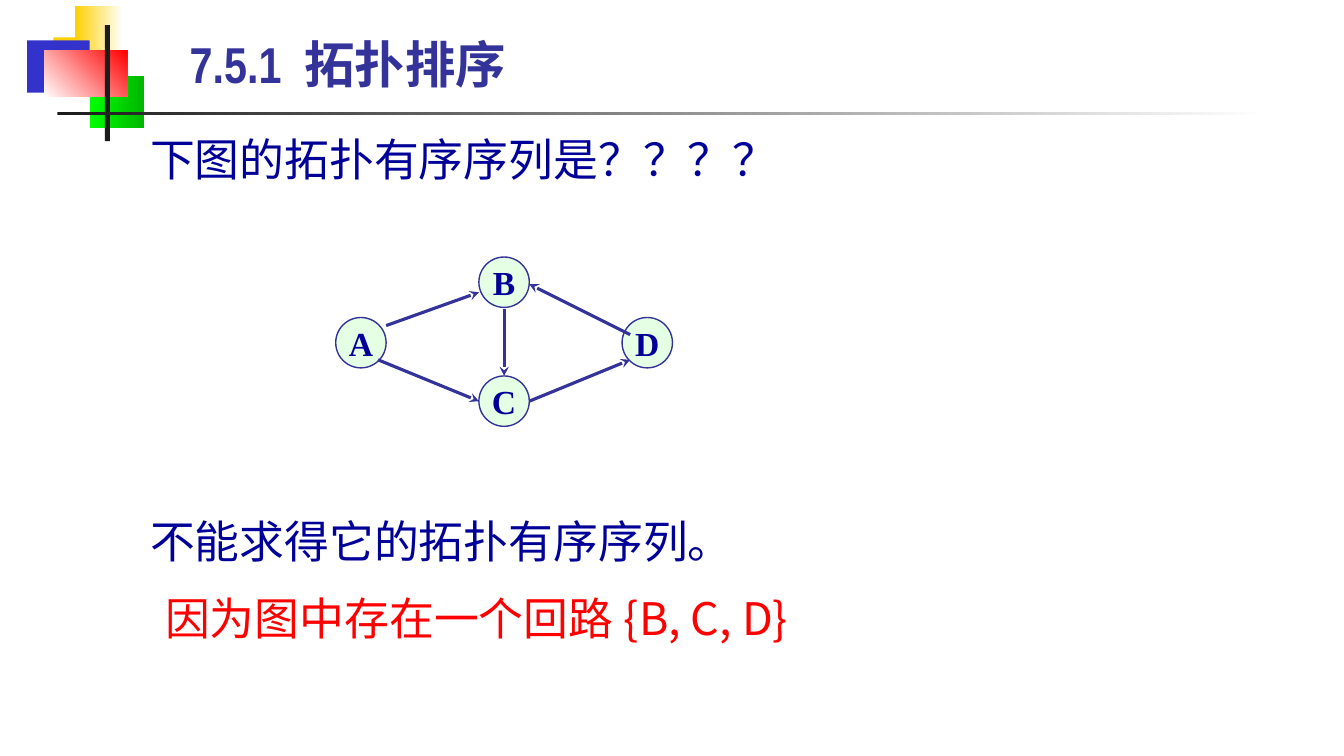
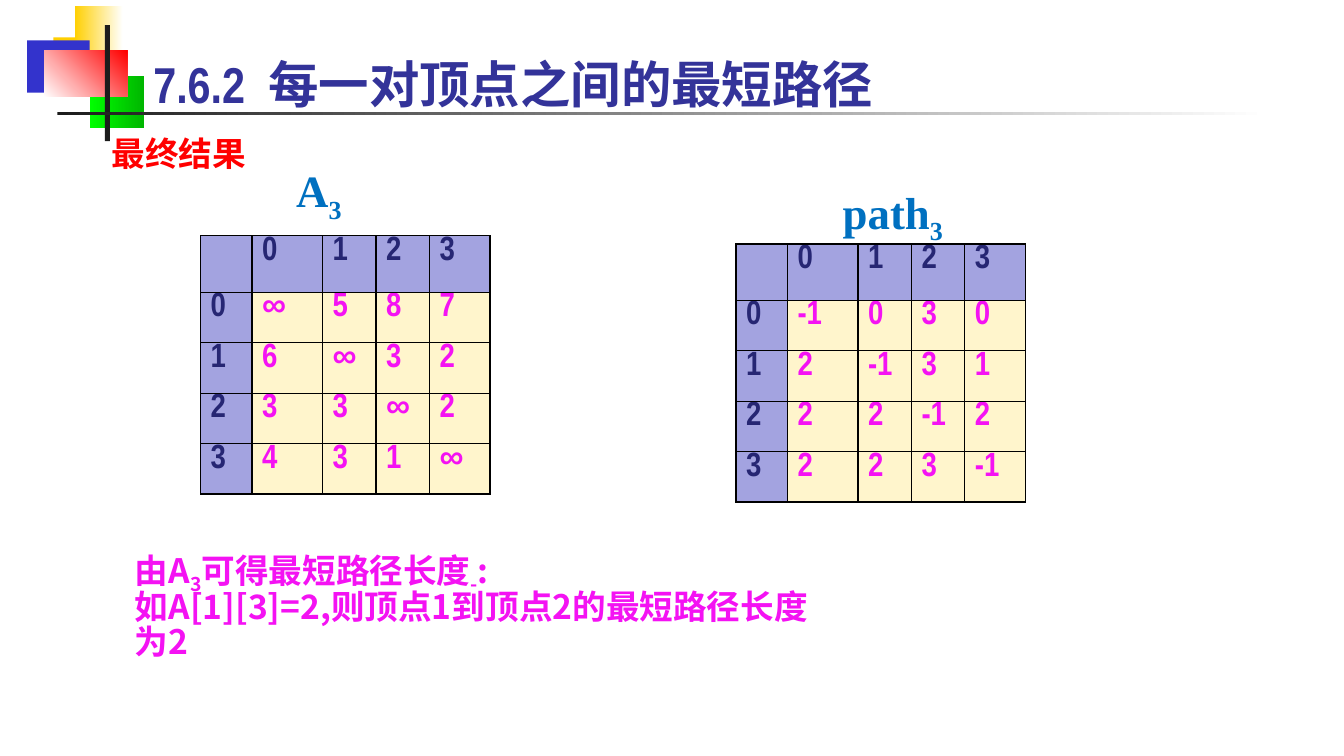
import pptx
import pptx.dml.color
import pptx.enum.shapes
import pptx.enum.text
import pptx.oxml.ns
import pptx.util
from lxml import etree

Inches = pptx.util.Inches
qn = pptx.oxml.ns.qn
SHAPES = pptx.enum.shapes.MSO_SHAPE
ANCHOR = pptx.enum.text.MSO_ANCHOR

COLOURS = {
    "white": "FFFFFF",
    "black": "000000",
    "ink": "1C1C1C",
    "yellow": "FFCF01",
    "blue": "3333CC",
    "lime": "00FF00",
    "green": "00B600",
    "red": "FF0000",
    "indigo": "333399",
    "navy": "000099",
    "mint": "CCFFCC",
    "azure": "0070C0",
    "magenta": "F412F3",
    "header": "A3A3E0",
    "header_text": "262673",
    "cream": "FFF5CC",
}
NARROW = "Arial Narrow"
HAN = "Noto Sans CJK SC"
SERIF = "Times New Roman"

DECORATION = [
    ((0.53, 0.37, 0.64, 0.52), ["yellow"], 0),
    ((0.74, 0.06, 0.48, 0.52), ["yellow", "white"], 0),
    ((0.27, 0.4, 0.62, 0.52), ["blue"], 0),
    ((0.89, 0.75, 0.54, 0.52), ["lime", "green"], 0),
    ((0.44, 0.5, 0.82, 0.46), ["white", "red"], 45),
    ((1.04, 0.25, 0.05, 1.15), ["ink"], 0),
    ((0.57, 1.11, 12, 0.03), ["ink", "white"], 0),
]
NODE_SIZE = 0.5
NODES = {"A": (3.58, 3.4), "B": (5, 2.8), "C": (5, 3.98), "D": (6.42, 3.4)}
EDGES = [
    ((3.83, 3.23), (4.75, 2.9)),
    ((3.75, 3.57), (4.75, 3.98)),
    ((5.25, 3.98), (6.25, 3.57)),
    ((6.25, 3.32), (5.25, 2.82)),
    ((5, 3.07), (5, 3.73)),
]
COLUMN_WIDTHS = [0.51, 0.7, 0.53, 0.53, 0.6]
ROW_HEIGHTS = [0.56, 0.5, 0.5, 0.5, 0.5]
LENGTHS = [
    ["∞", "5", "8", "7"],
    ["6", "∞", "3", "2"],
    ["3", "3", "∞", "2"],
    ["4", "3", "1", "∞"],
]
PATHS = [
    ["-1", "0", "3", "0"],
    ["2", "-1", "3", "1"],
    ["2", "2", "-1", "2"],
    ["2", "2", "3", "-1"],
]


def colour(name):
    return pptx.dml.color.RGBColor.from_string(COLOURS[name])


def inches(values):
    return [Inches(value) for value in values]


def paint(fill, name):
    fill.solid()
    fill.fore_color.rgb = colour(name)


def add_span(para, text, size, face, tint, bold=False, subscript=False):
    span = para.add_run()
    span.text = text
    span.font.size = pptx.util.Pt(size)
    span.font.bold = bold
    span.font.name = face
    span.font.color.rgb = colour(tint)
    properties = span.font._element
    east_asian = etree.SubElement(properties, qn("a:ea"))
    east_asian.set("typeface", HAN if face == NARROW else face)
    if subscript:
        properties.set("baseline", "-25000")


def add_preset(page, preset, area):
    shape = page.shapes.add_shape(preset, *inches(area))
    shape.shadow.inherit = False
    return shape


def add_block(page, area, tints, angle):
    block = add_preset(page, SHAPES.RECTANGLE, area)
    block.line.fill.background()
    if len(tints) == 1:
        paint(block.fill, tints[0])
    else:
        block.fill.gradient()
        block.fill.gradient_angle = angle
        for stop, tint in zip(block.fill.gradient_stops, tints):
            stop.color.rgb = colour(tint)
    return block


def decorate_layout(layout, page):
    for order, (area, tints, angle) in enumerate(DECORATION):
        element = add_block(page, area, tints, angle).element
        element.nvSpPr.cNvPr.set("id", str(100 + order))
        layout.shapes.element.insert(2 + order, element)


def set_title(page, left, top, text):
    title = page.shapes.title
    title.left, title.top, title.width, title.height = inches((left, top, 11.36, 0.83))
    frame = title.text_frame
    frame.vertical_anchor = ANCHOR.MIDDLE
    para = frame.paragraphs[0]
    para.alignment = pptx.enum.text.PP_ALIGN.LEFT
    para.line_spacing = 0.9
    add_span(para, text, 36, NARROW, "indigo", True)


def add_text(page, area, paragraphs, size, face, tint, bold=False, spacing=None):
    box = page.shapes.add_textbox(*inches(area))
    frame = box.text_frame
    frame.word_wrap = True
    for index, spans in enumerate(paragraphs):
        para = frame.add_paragraph() if index else frame.paragraphs[0]
        para.line_spacing = spacing
        for position, text in enumerate(spans):
            add_span(para, text, size, face, tint, bold, position % 2 == 1)


def add_node(page, label, centre):
    left, top = (value - NODE_SIZE / 2 for value in centre)
    node = add_preset(page, SHAPES.OVAL, (left, top, NODE_SIZE, NODE_SIZE))
    paint(node.fill, "mint")
    tint = node.element.spPr.find(qn("a:solidFill"))[0]
    etree.SubElement(tint, qn("a:alpha")).set("val", "50000")
    node.line.color.rgb = colour("indigo")
    node.line.width = pptx.util.Pt(1)
    frame = node.text_frame
    frame.word_wrap = False
    frame.vertical_anchor = ANCHOR.MIDDLE
    para = frame.paragraphs[0]
    para.alignment = pptx.enum.text.PP_ALIGN.CENTER
    add_span(para, label, 24, SERIF, "navy", True)


def add_edge(page, start, end):
    straight = pptx.enum.shapes.MSO_CONNECTOR.STRAIGHT
    edge = page.shapes.add_connector(straight, *inches(start + end))
    edge.line.color.rgb = colour("indigo")
    edge.line.width = pptx.util.Pt(2.25)
    line = edge.element.spPr.find(qn("a:ln"))
    etree.SubElement(line, qn("a:tailEnd")).set("type", "stealth")
    etree.SubElement(edge.element.spPr, qn("a:effectLst"))


def add_borders(cell):
    properties = cell._tc.get_or_add_tcPr()
    for side in ("lnL", "lnR", "lnT", "lnB"):
        border = etree.SubElement(properties, qn("a:" + side))
        border.set("w", str(pptx.util.Pt(1)))
        fill = etree.SubElement(border, qn("a:solidFill"))
        etree.SubElement(fill, qn("a:srgbClr")).set("val", COLOURS["black"])


def add_matrix(page, left, top, values):
    labels = [str(index) for index in range(len(values))]
    rows = [[""] + labels] + [[label] + row for label, row in zip(labels, values)]
    area = (left, top, sum(COLUMN_WIDTHS), sum(ROW_HEIGHTS))
    table = page.shapes.add_table(len(rows), len(rows[0]), *inches(area)).table
    table.first_row = table.horz_banding = False
    for column, width in zip(table.columns, COLUMN_WIDTHS):
        column.width = Inches(width)
    for row, height in zip(table.rows, ROW_HEIGHTS):
        row.height = Inches(height)
    for row_index, texts in enumerate(rows):
        for column_index, text in enumerate(texts):
            cell = table.cell(row_index, column_index)
            is_header = row_index == 0 or column_index == 0
            cell.margin_top = cell.margin_bottom = 0
            add_borders(cell)
            paint(cell.fill, "header" if is_header else "cream")
            if text:
                tint = "header_text" if is_header else "magenta"
                add_span(cell.text_frame.paragraphs[0], text, 24, NARROW, tint, True)


def build_sorting(page):
    set_title(page, 1.78, 0.25, "7.5.1  拓扑排序")
    for label, centre in NODES.items():
        add_node(page, label, centre)
    for start, end in EDGES:
        add_edge(page, start, end)
    for left, top, text, tint in [
        (1.39, 1.33, "下图的拓扑有序序列是？？？？", "navy"),
        (1.39, 5.12, "不能求得它的拓扑有序序列。", "navy"),
        (1.54, 5.88, "因为图中存在一个回路 {B, C, D}", "red"),
    ]:
        add_text(page, (left, top, 7, 0.64), [[text]], 32, HAN, tint, spacing=0.87)


def build_shortest(page):
    set_title(page, 1.42, 0.45, "7.6.2  每一对顶点之间的最短路径")
    add_text(page, (1.01, 1.32, 1.7, 0.5), [["最终结果"]], 24, HAN, "red", True, 0.87)
    for left, top, values, heading_left, heading_top, name in [
        (1.99, 2.34, LENGTHS, 2.84, 1.57, "A"),
        (7.3, 2.42, PATHS, 8.26, 1.78, "path"),
    ]:
        add_matrix(page, left, top, values)
        area = (heading_left, heading_top, 1.4, 0.64)
        add_text(page, area, [[name, "3"]], 32, SERIF, "azure", True)
    conclusion = [
        ["由A", "3", "可得最短路径长度", "-", ":"],
        ["如A[1][3]=2,则顶点1到顶点2的最短路径长度为2"],
    ]
    add_text(page, (1.24, 5.42, 7.17, 0.91), conclusion, 24, HAN, "magenta", True, 0.87)


def main():
    deck = pptx.Presentation()
    deck.slide_width, deck.slide_height = inches((13.33, 7.5))
    layout = deck.slide_layouts[5]
    pages = [deck.slides.add_slide(layout) for _ in range(2)]
    decorate_layout(layout, pages[0])
    build_sorting(pages[0])
    build_shortest(pages[1])
    deck.save("out.pptx")


if __name__ == "__main__":
    main()
